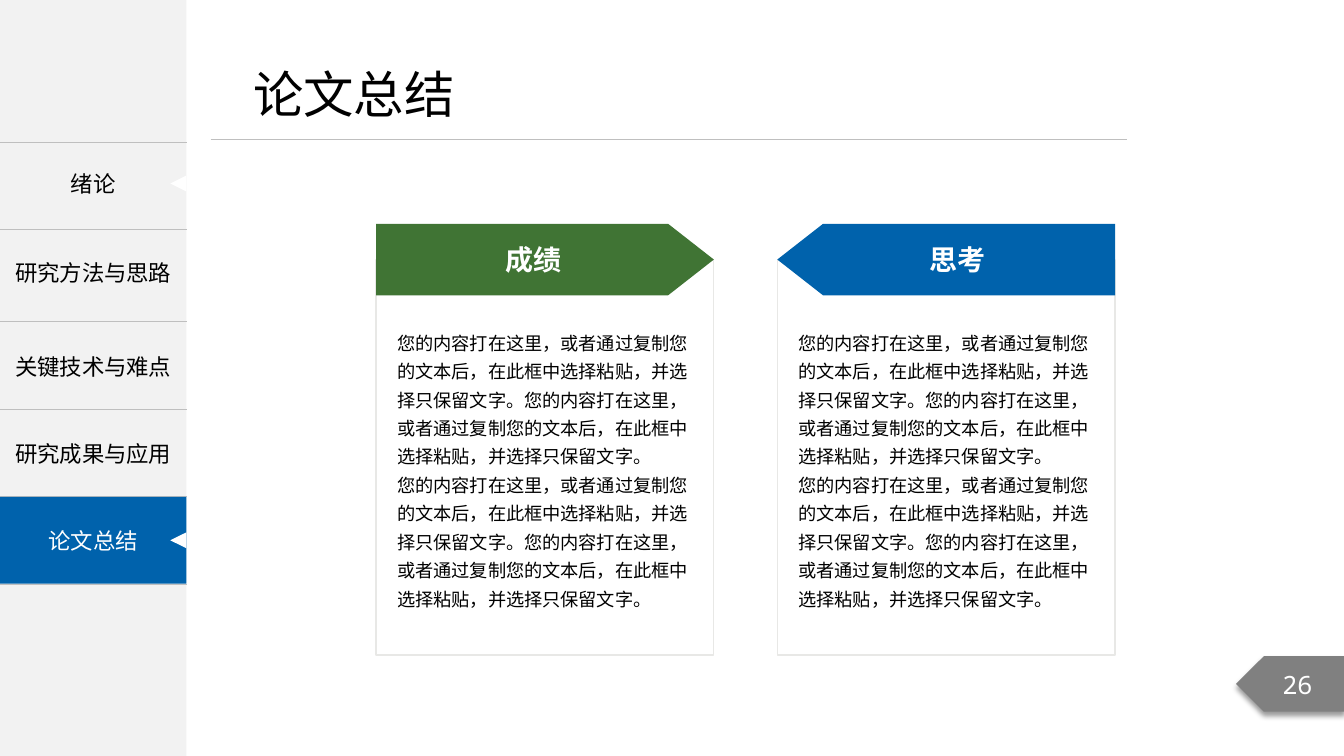
from lxml.etree import SubElement
from pptx import Presentation
from pptx.dml.color import RGBColor
from pptx.enum.shapes import MSO_CONNECTOR, MSO_SHAPE
from pptx.enum.text import MSO_ANCHOR, MSO_AUTO_SIZE, PP_ALIGN
from pptx.oxml import parse_xml
from pptx.oxml.ns import nsdecls, qn
from pptx.util import Inches, Pt

COLORS = {
    "white": "FFFFFF", "black": "000000", "sidebar": "F2F2F2", "rule": "BFBFBF",
    "gray": "808080", "blue": "0062AC", "green": "407434", "frame": "E8E8E6",
}
FONT = "Noto Sans CJK SC"
SENTENCE = "您的内容打在这里，或者通过复制您的文本后，在此框中选择粘贴，并选择只保留文字。"


def add_shape(kind, left, top, width, height, fill, line=None):
    shape = page.shapes.add_shape(
        kind, Inches(left), Inches(top), Inches(width), Inches(height))
    shape.shadow.inherit = False
    shape.fill.solid()
    shape.fill.fore_color.rgb = RGBColor.from_string(COLORS[fill])
    if line:
        shape.line.color.rgb = RGBColor.from_string(COLORS[line])
        shape.line.width = Pt(1)
    else:
        shape.line.fill.background()
    return shape


def write_text(frame, lines, size, color="black", align=PP_ALIGN.CENTER,
               font=FONT, bold=False, spacing=None):
    for index, line in enumerate(lines):
        para = frame.paragraphs[0] if index == 0 else frame.add_paragraph()
        for name, value in {"alignment": align, "line_spacing": spacing}.items():
            setattr(para, name, value)
        span = para.add_run()
        span.text = line
        for name, value in {"size": Pt(size), "name": font, "bold": bold}.items():
            setattr(span.font, name, value)
        span.font.color.rgb = RGBColor.from_string(COLORS[color])
        SubElement(span.font._element, qn("a:ea")).set("typeface", font)


deck = Presentation()
deck.slide_width, deck.slide_height = Inches(13.33), Inches(7.5)
page = deck.slides.add_slide(deck.slide_layouts[5])

add_shape(MSO_SHAPE.RECTANGLE, 0, 0, 1.85, 7.5, "sidebar")

rule = page.shapes.add_connector(
    MSO_CONNECTOR.STRAIGHT, Inches(2.09), Inches(1.38), Inches(11.18), Inches(1.38))
rule.line.color.rgb = RGBColor.from_string(COLORS["rule"])
rule.line.width = Pt(0.5)
SubElement(rule._element.spPr, qn("a:effectLst"))

title = page.shapes.title
title.left, title.top, title.width, title.height = (
    Inches(2.41), Inches(0.58), Inches(2.22), Inches(0.71))
title.text_frame.word_wrap = False
title.text_frame.auto_size = MSO_AUTO_SIZE.NONE
title.text_frame.vertical_anchor = MSO_ANCHOR.TOP
write_text(title.text_frame, ["论文总结"], 36, align=PP_ALIGN.LEFT)

page_tag = add_shape(MSO_SHAPE.PENTAGON, 12.26, 6.51, 1.08, 0.55, "gray")
page_tag._element.spPr.xfrm.set("flipH", "1")
page_tag._element.spPr.find(qn("a:effectLst")).append(parse_xml(
    f'<a:outerShdw {nsdecls("a")} blurRad="{Pt(4)}" dist="{Pt(3)}" dir="5400000" '
    f'algn="t" rotWithShape="0"><a:srgbClr val="{COLORS["black"]}">'
    '<a:alpha val="40000"/></a:srgbClr></a:outerShdw>'))
write_text(page_tag.text_frame, ["26"], 18, "white", font="Noto Sans Mono")

row_heights = [0.87, 0.91, 0.87, 0.87, 0.87]
row_labels = ["", "", "关键技术与难点", "研究成果与应用", ""]
menu = page.shapes.add_table(
    5, 1, Inches(0), Inches(1.41), Inches(1.85), Inches(sum(row_heights))).table
menu.first_row = menu.horz_banding = False
for row, height, label in zip(menu.rows, row_heights, row_labels):
    row.height = Inches(height)
    cell = row.cells[0]
    cell.vertical_anchor = MSO_ANCHOR.MIDDLE
    if label:
        write_text(cell.text_frame, [label], 16)
    properties = cell._tc.get_or_add_tcPr()
    for side in ("lnL", "lnR", "lnT", "lnB"):
        border = SubElement(properties, qn(f"a:{side}"), w=str(Pt(1)))
        if side in ("lnT", "lnB"):
            paint = SubElement(border, qn("a:solidFill"))
            SubElement(paint, qn("a:srgbClr"), val=COLORS["rule"])
        else:
            SubElement(border, qn("a:noFill"))
    cell.fill.background()

for label, top in [("绪论", 1.39), ("研究方法与思路", 2.27)]:
    box = page.shapes.add_textbox(Inches(0), Inches(top), Inches(1.85), Inches(0.86))
    box.text_frame.word_wrap = True
    box.text_frame.vertical_anchor = MSO_ANCHOR.MIDDLE
    write_text(box.text_frame, [label], 16)

current = add_shape(MSO_SHAPE.RECTANGLE, 0, 4.93, 1.85, 0.86, "blue")
write_text(current.text_frame, ["论文总结"], 16, "white")

for top in (1.74, 5.28):
    marker = add_shape(MSO_SHAPE.ISOSCELES_TRIANGLE, 1.69, top, 0.16, 0.16, "white")
    marker.rotation = 270

for heading, left, color, flipped in [("成绩", 3.73, "green", False),
                                      ("思考", 7.71, "blue", True)]:
    add_shape(MSO_SHAPE.RECTANGLE, left, 2.58, 3.35, 3.92, "white", "frame")
    banner = add_shape(MSO_SHAPE.PENTAGON, left, 2.22, 3.35, 0.71, color)
    banner.adjustments[0] = 0.639
    if flipped:
        banner._element.spPr.xfrm.set("flipH", "1")
    body = page.shapes.add_textbox(
        Inches(left + 0.13), Inches(3.19), Inches(3.12), Inches(2.97))
    for shape, wrap in [(banner, False), (body, True)]:
        frame = shape.text_frame
        frame.word_wrap = wrap
        frame.margin_left = frame.margin_right = Inches(0.08)
        frame.margin_top = frame.margin_bottom = Inches(0.04)
    write_text(banner.text_frame, [heading], 20, "white", bold=True)
    body.text_frame.auto_size = MSO_AUTO_SIZE.SHAPE_TO_FIT_TEXT
    write_text(body.text_frame, [SENTENCE * 2] * 2, 13,
               align=PP_ALIGN.LEFT, spacing=1.3)

deck.save("out.pptx")
